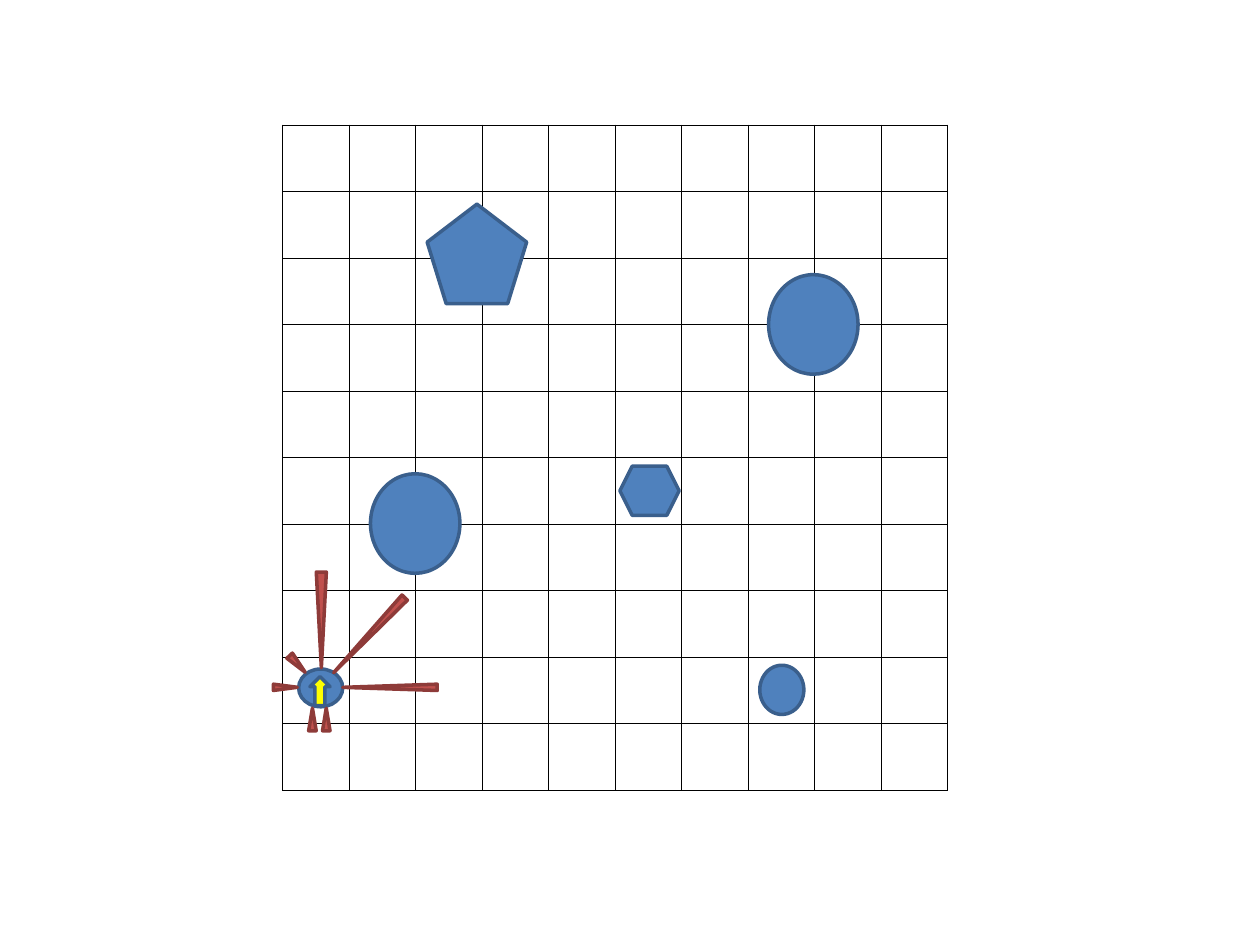
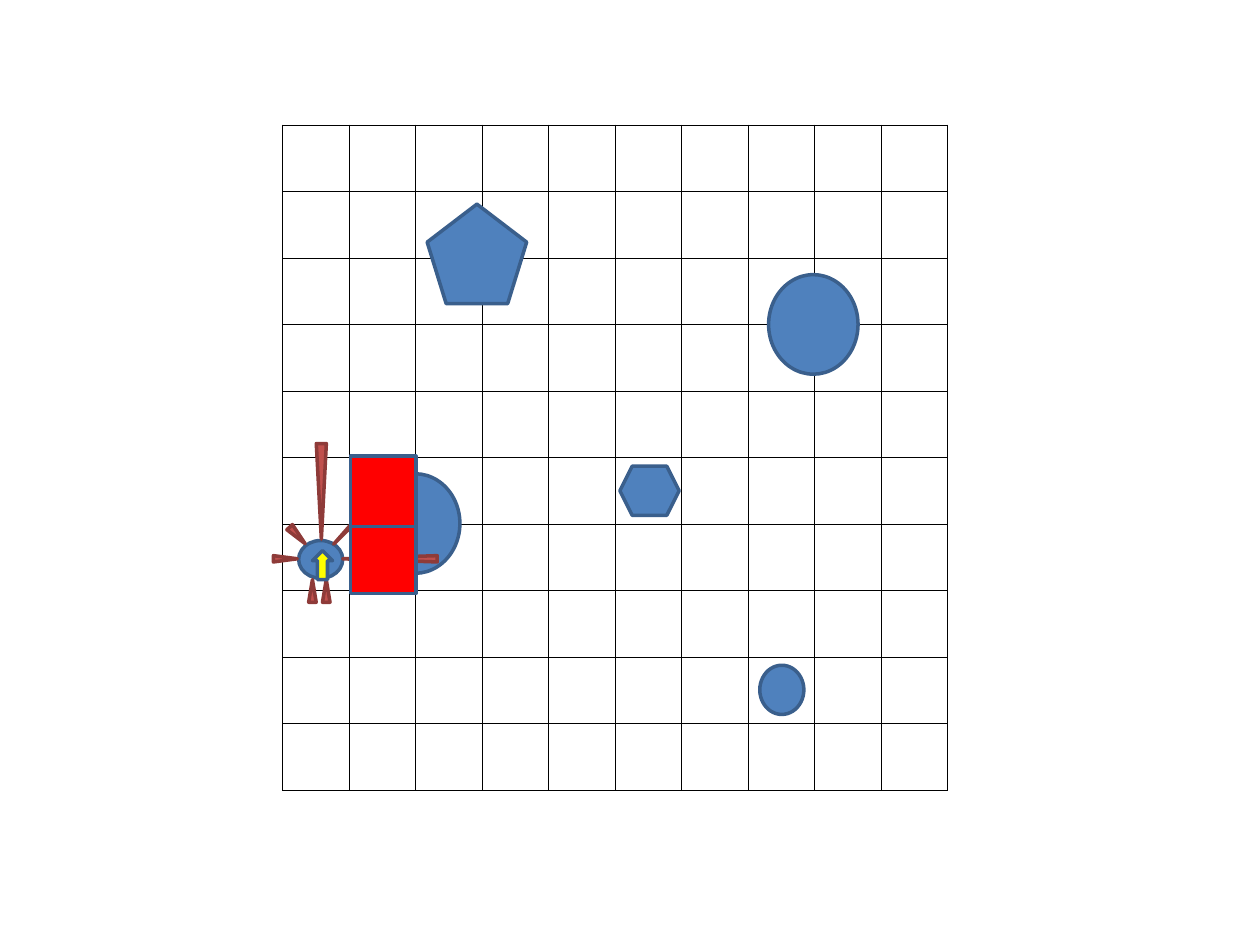
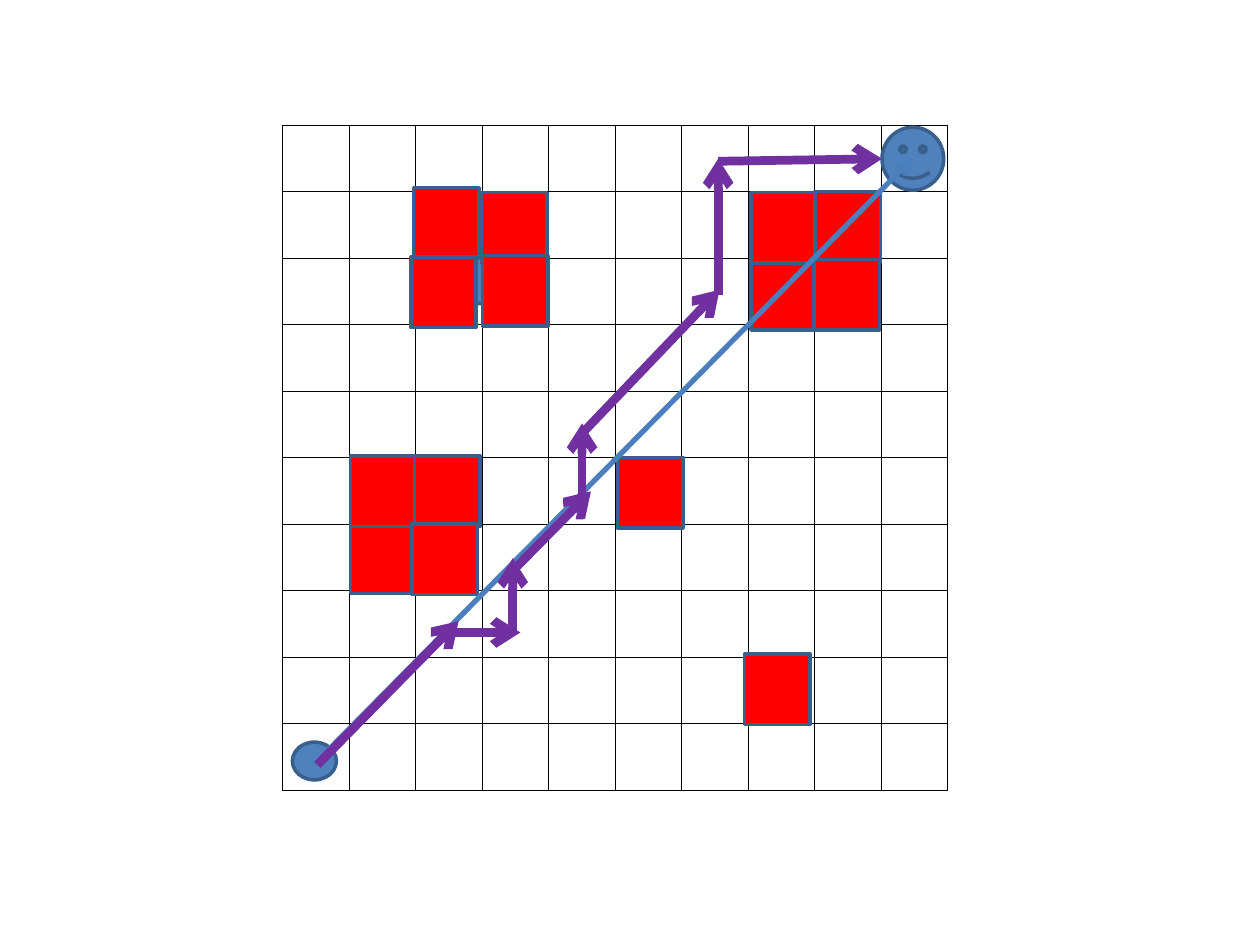
from lxml.etree import SubElement
from pptx import Presentation
from pptx.dml.color import RGBColor
from pptx.enum.shapes import MSO_CONNECTOR, MSO_SHAPE
from pptx.oxml import parse_xml
from pptx.oxml.ns import nsdecls, qn
from pptx.util import Inches, Pt

BLUE = RGBColor(0x4F, 0x81, 0xBD)
OUTLINE = RGBColor(0x3A, 0x5F, 0x8C)
SENSOR_RED = RGBColor(0xC0, 0x50, 0x4D)
SENSOR_EDGE = RGBColor(0x8E, 0x3B, 0x39)
BLOCKED_RED = RGBColor(0xFF, 0x00, 0x00)
HEADING_YELLOW = RGBColor(0xFF, 0xFF, 0x00)
DIRECT_BLUE = RGBColor(0x4B, 0x7E, 0xBC)
ROUTE_PURPLE = RGBColor(0x70, 0x30, 0xA0)

GRID_LEFT, GRID_TOP, GRID_SIZE, GRID_CELLS = 2.24, 0.99, 5.28, 10
BLOCKED_SIZE = (0.52, 0.56)
ROBOT_SIZE = (0.35, 0.3)

PENTAGON = (MSO_SHAPE.REGULAR_PENTAGON, (3.39, 1.62, 0.79, 0.79))
OBSTACLES = [
    (MSO_SHAPE.OVAL, (2.94, 3.76, 0.71, 0.79)),
    (MSO_SHAPE.OVAL, (6.1, 2.18, 0.71, 0.79)),
    PENTAGON,
    (MSO_SHAPE.OVAL, (6.03, 5.28, 0.35, 0.39)),
    (MSO_SHAPE.HEXAGON, (4.92, 3.7, 0.47, 0.39)),
]

# Sensor beams relative to the robot's corner: left, top, width, height, rotation
SENSORS = [
    (-0.13, 0.05, 0.05, 0.19, 90),
    (-0.04, -0.13, 0.06, 0.18, 136.8),
    (0.14, -0.77, 0.08, 0.76, 180),
    (0.53, -0.68, 0.06, 0.82, 223.4),
    (0.7, -0.23, 0.05, 0.75, 270),
    (0.08, 0.31, 0.06, 0.18, 0),
    (0.19, 0.31, 0.06, 0.18, 0),
]

DETECTED = [(2.78, 4.15), (2.78, 3.62)]
MAPPED = DETECTED + [
    (3.28, 1.49), (3.26, 2.04), (3.29, 3.62), (3.27, 4.16),
    (5.96, 2.06), (5.96, 1.53), (6.47, 1.52), (6.46, 2.06),
    (4.9, 3.63), (5.91, 5.19), (3.82, 1.53), (3.83, 2.03),
]

ROUTE = [
    ((2.52, 6.07), (3.64, 4.93)),
    ((3.57, 5.02), (4.13, 5.02)),
    ((4.07, 5.02), (4.07, 4.43)),
    ((4.09, 4.51), (4.69, 3.9)),
    ((4.62, 3.97), (4.62, 3.36)),
    ((4.62, 3.44), (5.71, 2.3)),
    ((5.7, 2.34), (5.7, 1.26)),
    ((5.7, 1.28), (7, 1.26)),
]


class GridWorld:
    """Draws the robot's map on the current slide."""

    def __init__(self):
        self.deck = Presentation()
        self.deck.slide_width, self.deck.slide_height = Inches(10), Inches(7.5)
        self.slide = None

    def new_map(self):
        self.slide = self.deck.slides.add_slide(self.deck.slide_layouts[6])
        self.grid()

    def grid(self):
        side = Inches(GRID_SIZE)
        table = self.slide.shapes.add_table(
            GRID_CELLS, GRID_CELLS, Inches(GRID_LEFT), Inches(GRID_TOP), side, side
        ).table
        table.first_row = table.horz_banding = False
        for column in table.columns:
            column.width = side // GRID_CELLS
        for row in table.rows:
            row.height = side // GRID_CELLS
        for cell in table.iter_cells():
            properties = cell._tc.get_or_add_tcPr()
            for edge in ("lnL", "lnR", "lnT", "lnB"):
                properties.append(parse_xml(
                    f'<a:{edge} {nsdecls("a")} w="{Pt(0.28)}"><a:solidFill>'
                    f'<a:srgbClr val="000000"/></a:solidFill></a:{edge}>'
                ))
            cell.fill.background()

    def shape(self, preset, box, fill=BLUE, edge=OUTLINE, rotation=0, parent=None):
        shapes = (parent or self.slide).shapes
        figure = shapes.add_shape(preset, *map(Inches, box))
        figure.shadow.inherit = False
        figure.fill.solid()
        figure.fill.fore_color.rgb = fill
        figure.line.color.rgb = edge
        figure.line.width = Pt(2)
        figure.rotation = rotation

    def obstacles(self):
        for preset, box in OBSTACLES:
            self.shape(preset, box)

    def blocked(self, corners):
        for corner in corners:
            self.shape(MSO_SHAPE.RECTANGLE, corner + BLOCKED_SIZE, BLOCKED_RED)

    def robot(self, left, top):
        """Draw the robot's body and its sensor beams as one group."""
        group = self.slide.shapes.add_group_shape()
        self.shape(MSO_SHAPE.OVAL, (left, top) + ROBOT_SIZE, parent=group)
        for dx, dy, width, height, rotation in SENSORS:
            self.shape(MSO_SHAPE.ISOSCELES_TRIANGLE, (left + dx, top + dy, width, height),
                       SENSOR_RED, SENSOR_EDGE, rotation, group)

    def heading(self, left, top):
        self.shape(MSO_SHAPE.UP_ARROW, (left, top, 0.16, 0.23), HEADING_YELLOW)

    def arrow(self, start, end, color, width):
        connector = self.slide.shapes.add_connector(
            MSO_CONNECTOR.STRAIGHT, *map(Inches, start + end))
        connector.line.color.rgb = color
        connector.line.width = Pt(width)
        properties = connector.element.spPr
        SubElement(properties.find(qn("a:ln")), qn("a:tailEnd"), type="arrow")
        SubElement(properties, qn("a:effectLst"))


def main():
    world = GridWorld()

    world.new_map()
    world.obstacles()
    world.robot(2.37, 5.31)
    world.heading(2.46, 5.37)

    world.new_map()
    world.obstacles()
    world.robot(2.37, 4.29)
    world.blocked(DETECTED)
    world.heading(2.48, 4.37)

    world.new_map()
    world.shape(*PENTAGON)
    world.blocked(MAPPED)
    world.shape(MSO_SHAPE.OVAL, (2.32, 5.89) + ROBOT_SIZE)
    world.shape(MSO_SHAPE.SMILEY_FACE, (7, 1.01, 0.49, 0.5))
    world.arrow((2.49, 6.07), (7.24, 1.26), DIRECT_BLUE, 3)
    for start, end in ROUTE:
        world.arrow(start, end, ROUTE_PURPLE, 5)

    world.deck.save("out.pptx")


if __name__ == "__main__":
    main()
